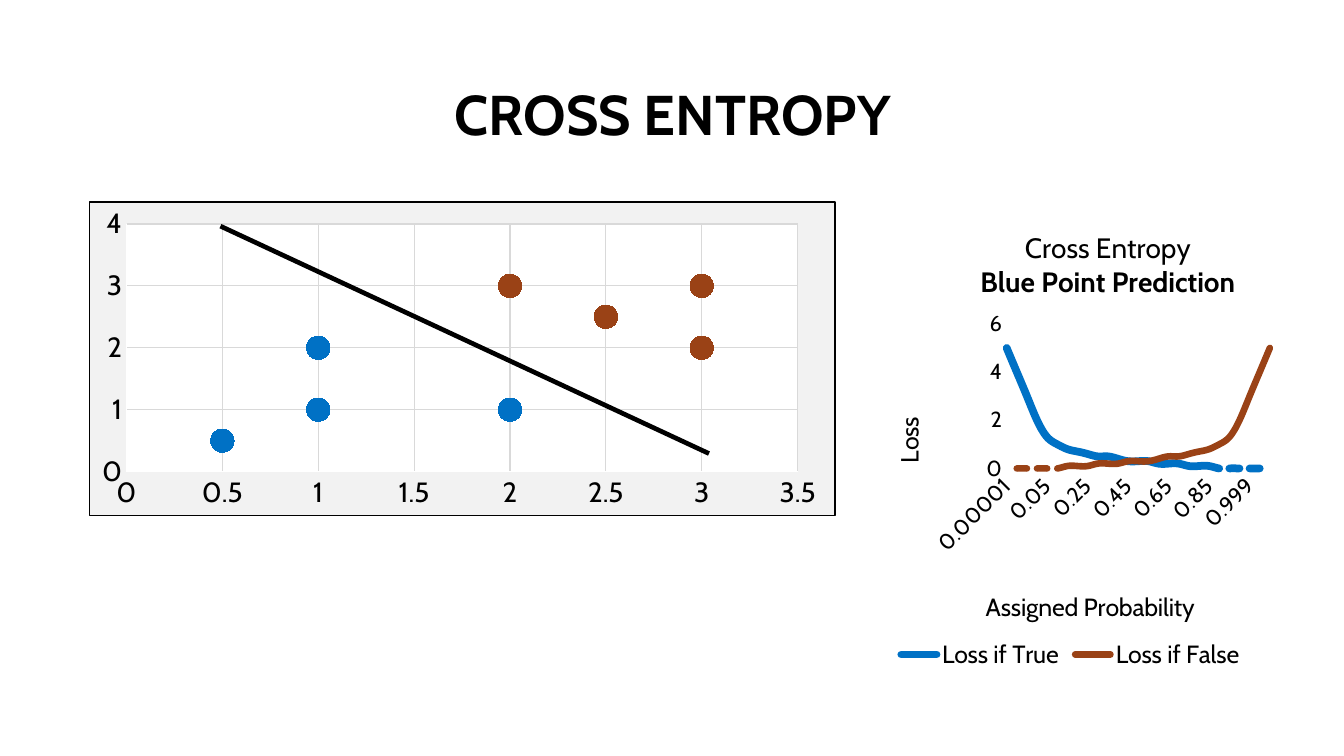
from lxml.etree import SubElement
from pptx import Presentation
from pptx.chart.data import CategoryChartData, XyChartData
from pptx.dml.color import RGBColor
from pptx.enum.chart import XL_CHART_TYPE, XL_LEGEND_POSITION, XL_MARKER_STYLE, XL_TICK_MARK
from pptx.enum.shapes import MSO_CONNECTOR
from pptx.enum.text import MSO_ANCHOR, PP_ALIGN
from pptx.oxml import parse_xml
from pptx.oxml.ns import nsdecls, qn
from pptx.util import Cm, Pt

BLACK = RGBColor(0x00, 0x00, 0x00)
WHITE = RGBColor(0xFF, 0xFF, 0xFF)
BLUE = RGBColor(0x00, 0x71, 0xC5)
RUST = RGBColor(0x9A, 0x42, 0x16)
GRID = RGBColor(0xD9, 0xD9, 0xD9)
PANEL = RGBColor(0xF2, 0xF2, 0xF2)
FONT = "Cabin"

# Content
HEADING = "CROSS ENTROPY"
LOSS_TITLE = [("Cross Entropy", False), ("Blue Point Prediction", True)]
LOW = ["0.00001", "0.0001", "0.001", "0.01"]
HIGH = ["0.99", "0.999", "0.9999", "0.99999"]
PROBABILITIES = LOW + [f"{step * 0.05:.2f}".rstrip("0") for step in range(1, 20)] + HIGH
LOSS_IF_TRUE = [5, 4, 3, 2, 1.3, 1, 0.8, 0.7, 0.6, 0.5, 0.5, 0.4, 0.3, 0.3,
                0.3, 0.2, 0.2, 0.2, 0.1, 0.1, 0.1, 0, 0, 0, 0, 0, 0]
LOSSES = [
    ("Loss if True", LOSS_IF_TRUE, BLUE, 5),
    ("Loss if False", LOSS_IF_TRUE[::-1], RUST, 4.25),
]
CLUSTERS = [
    ("Series 1", [(1, 1), (1, 2), (2, 1), (0.5, 0.5)], BLUE),
    ("Series 2", [(2, 3), (3, 3), (3, 2), (2.5, 2.5)], RUST),
]

# Places: left, top, width, height in centimetres
HEADING_BOX = (1.4, 1.83, 27.71, 1.65)
LOSS_BOX = (19.46, 4.7, 9.63, 10.59)
CLUSTER_BOX = (2.01, 4.57, 16.94, 7.14)
# Start and end of the line
BOUNDARY = (5.0, 5.13, 16.08, 10.29)

# Places within a chart, as fractions
LOSS_PLOT = {"x": 0.35, "y": 0.25, "w": 0.62, "h": 0.31}
CLUSTER_PLOT = {"x": 0.05, "y": 0.07, "w": 0.9, "h": 0.79}
TITLE_PLACE = {"x": 0.28, "y": 0.04}
PROBABILITY_PLACE = {"x": 0.29, "y": 0.81}
LOSS_PLACE = {"x": 0.07, "y": 0.44}


def apply(target, values):
    for name, value in values.items():
        setattr(target, name, value)


def style_font(font, size, bold=False):
    apply(font, {"name": FONT, "size": Pt(size), "bold": bold})
    font.color.rgb = BLACK


def style_line(line, color, width):
    line.color.rgb = color
    line.width = Pt(width)


def place(parent, fractions, index):
    """Give a chart title or plot area a fixed place."""
    for old in parent.findall(qn("c:layout")):
        parent.remove(old)
    layout = parse_xml(f"<c:layout {nsdecls('c')}><c:manualLayout/></c:layout>")
    manual = layout[0]
    if "w" in fractions:
        SubElement(manual, qn("c:layoutTarget")).set("val", "inner")
    for axis in "xy":
        SubElement(manual, qn(f"c:{axis}Mode")).set("val", "edge")
    for key, value in fractions.items():
        SubElement(manual, qn(f"c:{key}")).set("val", str(value))
    parent.insert(index, layout)


def area_format(color, border=""):
    return parse_xml(f'<c:spPr {nsdecls("c", "a")}><a:solidFill><a:srgbClr val="{color}"/>'
                     f'</a:solidFill>{border}</c:spPr>')


def add_setting(axis, after, tag, value):
    setting = parse_xml(f'<c:{tag} {nsdecls("c")} val="{value}"/>')
    for old in axis._element.findall(qn(f"c:{tag}")):
        axis._element.remove(old)
    axis._element.find(qn(f"c:{after}")).addnext(setting)


def style_axis(axis, size, grid=None, **scale):
    apply(axis, {"major_tick_mark": XL_TICK_MARK.NONE, "minor_tick_mark": XL_TICK_MARK.NONE,
                 "has_major_gridlines": grid is not None, **scale})
    style_font(axis.tick_labels.font, size)
    style_line(axis.format.line, WHITE, 0.75)
    if grid is not None:
        style_line(axis.major_gridlines.format.line, grid, 0.75)


def name_axis(axis, text, fractions):
    frame = axis.axis_title.text_frame
    frame.text = text
    style_font(frame.paragraphs[0].runs[0].font, 16)
    place(axis.axis_title._element, fractions, 1)


def add_chart(slide, kind, box, data, size):
    chart = slide.shapes.add_chart(kind, *map(Cm, box), data).chart
    style_font(chart.font, size)
    apply(chart, {"has_title": False, "has_legend": False})
    chart.plots[0].vary_by_categories = False
    return chart


def add_loss_chart(slide):
    data = CategoryChartData()
    data.categories = PROBABILITIES
    for name, values, *_ in LOSSES:
        data.add_series(name, values)
    chart = add_chart(slide, XL_CHART_TYPE.LINE, LOSS_BOX, data, 10)
    for series, (_, _, color, width) in zip(chart.plots[0].series, LOSSES):
        series.smooth = True
        series.marker.style = XL_MARKER_STYLE.NONE
        style_line(series.format.line, color, width)
        series.format.line._get_or_add_ln().set("cap", "rnd")

    # Title in two lines
    frame = chart.chart_title.text_frame
    for index, (text, bold) in enumerate(LOSS_TITLE):
        paragraph = frame.add_paragraph() if index else frame.paragraphs[0]
        run = paragraph.add_run()
        run.text = text
        style_font(run.font, 18, bold)
    place(chart.chart_title._element, TITLE_PLACE, 1)

    # Axes: every fourth probability is labelled, at a slant
    probability, loss = chart.category_axis, chart.value_axis
    style_axis(probability, 14)
    style_axis(loss, 14, WHITE, minimum_scale=0, maximum_scale=6, major_unit=2)
    loss.format.line.fill.background()
    name_axis(probability, "Assigned Probability", PROBABILITY_PLACE)
    name_axis(loss, "Loss", LOSS_PLACE)
    probability._element.find(qn("c:txPr")).find(qn("a:bodyPr")).set("rot", "-2700000")
    add_setting(probability, "lblOffset", "tickLblSkip", 4)
    add_setting(loss, "crosses", "crossBetween", "midCat")

    chart.has_legend = True
    apply(chart.legend, {"position": XL_LEGEND_POSITION.BOTTOM, "include_in_layout": False})
    style_font(chart.legend.font, 16)
    place(chart._chartSpace.chart.plotArea, LOSS_PLOT, 0)


def add_cluster_chart(slide):
    data = XyChartData()
    for name, points, _ in CLUSTERS:
        series = data.add_series(name)
        for point in points:
            series.add_data_point(*point)
    chart = add_chart(slide, XL_CHART_TYPE.XY_SCATTER, CLUSTER_BOX, data, 18)
    for series, (_, _, color) in zip(chart.plots[0].series, CLUSTERS):
        series.format.line.fill.background()
        apply(series.marker, {"style": XL_MARKER_STYLE.CIRCLE, "size": 15})
        series.marker.format.fill.solid()
        series.marker.format.fill.fore_color.rgb = color
        style_line(series.marker.format.line, color, 0.75)
    style_axis(chart.category_axis, 18, GRID, minimum_scale=0, maximum_scale=3.5, major_unit=0.5)
    style_axis(chart.value_axis, 18, GRID, minimum_scale=0, maximum_scale=4, major_unit=1)

    # Grey panel with a black border around a white plot
    border = f'<a:ln w="{Pt(0.75)}"><a:solidFill><a:srgbClr val="{BLACK}"/></a:solidFill></a:ln>'
    plot_area = chart._chartSpace.chart.plotArea
    place(plot_area, CLUSTER_PLOT, 0)
    plot_area.append(area_format(WHITE))
    chart._chartSpace.chart.addnext(area_format(PANEL, border))


def main():
    deck = Presentation()
    apply(deck, {"slide_width": Cm(30.48), "slide_height": Cm(17.15)})
    slide = deck.slides.add_slide(deck.slide_layouts[5])

    # Heading
    heading = slide.shapes.title
    apply(heading, dict(zip(("left", "top", "width", "height"), map(Cm, HEADING_BOX))))
    heading.text_frame.text = HEADING
    heading.text_frame.vertical_anchor = MSO_ANCHOR.BOTTOM
    paragraph = heading.text_frame.paragraphs[0]
    apply(paragraph, {"alignment": PP_ALIGN.CENTER, "line_spacing": 0.9})
    style_font(paragraph.runs[0].font, 36, True)

    add_loss_chart(slide)
    add_cluster_chart(slide)

    # Decision boundary
    boundary = slide.shapes.add_connector(MSO_CONNECTOR.STRAIGHT, *map(Cm, BOUNDARY))
    style_line(boundary.line, BLACK, 3)
    SubElement(boundary._element.spPr, qn("a:effectLst"))
    deck.save("out.pptx")


if __name__ == "__main__":
    main()
